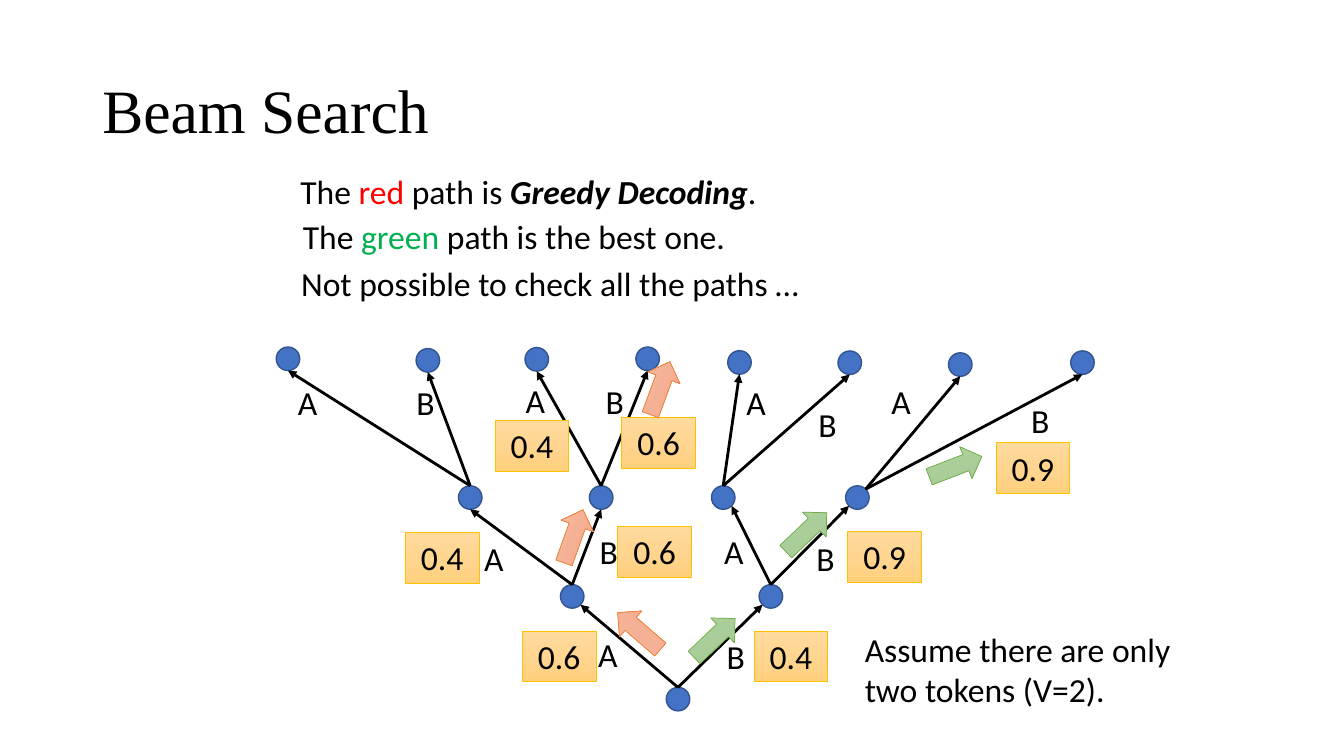
from copy import deepcopy

from lxml import etree
from pptx import Presentation
from pptx.dml.color import RGBColor
from pptx.enum.shapes import MSO_CONNECTOR, MSO_SHAPE
from pptx.enum.text import MSO_ANCHOR, MSO_AUTO_SIZE, PP_ALIGN
from pptx.oxml.ns import qn
from pptx.util import Pt

ELLIPSE = MSO_SHAPE.OVAL
RECTANGLE = MSO_SHAPE.RECTANGLE
RIGHT_ARROW = MSO_SHAPE.RIGHT_ARROW
STRAIGHT = MSO_CONNECTOR.STRAIGHT
MIDDLE = MSO_ANCHOR.MIDDLE
TOP = MSO_ANCHOR.TOP
FIT_TEXT = MSO_AUTO_SIZE.SHAPE_TO_FIT_TEXT
LEFT = PP_ALIGN.LEFT
CENTER = PP_ALIGN.CENTER

BLACK = RGBColor(0x00, 0x00, 0x00)
RED = RGBColor(0xFF, 0x00, 0x00)
GREEN = RGBColor(0x00, 0xB0, 0x50)
NODE_FILL = RGBColor(0x44, 0x72, 0xC4)
NODE_LINE = RGBColor(0x32, 0x54, 0x91)
SCORE_LINE = RGBColor(0xFF, 0xC0, 0x00)
GREEDY_LINE = RGBColor(0xED, 0x7D, 0x31)
BEST_LINE = RGBColor(0x70, 0xAD, 0x47)
SCORE_FILL = [RGBColor(0xFF, 0xDB, 0x9E), RGBColor(0xFF, 0xD5, 0x90), RGBColor(0xFF, 0xD0, 0x7C)]
GREEDY_FILL = [RGBColor(0xF7, 0xBD, 0xA5), RGBColor(0xF5, 0xB1, 0x96), RGBColor(0xF8, 0xA5, 0x82)]
BEST_FILL = [RGBColor(0xB5, 0xD5, 0xA7), RGBColor(0xAA, 0xCE, 0x9A), RGBColor(0x9C, 0xC9, 0x87)]

BODY = {"name": "Calibri", "size": Pt(24)}
HEADING = {"name": "Times New Roman", "size": Pt(44)}
EMPHASIS = {"bold": True, "italic": True}

NODE_SIZE = 16.8
CORNER = 0.146
TEXT_HEIGHT = 36.35
LABEL_WIDTH = 41.8
SCORE_WIDTH = 52.7
ARROW_SIZE = (40.3, 24.5)

NODES = {
    "": (475.9, 491),
    "A": (400.3, 417.6), "B": (542.2, 417.6),
    "AA": (327.5, 347), "AB": (421, 347), "BA": (508.2, 347), "BB": (604, 347),
    "AAA": (197.3, 247.9), "AAB": (297.2, 249), "ABA": (375, 248.3), "ABB": (454.2, 247.9),
    "BAA": (519.8, 250.5), "BAB": (598.6, 250.7), "BBA": (677.5, 252), "BBB": (764.8, 250.6),
}
LABELS = {
    "A": (413.3, 449.3), "B": (504.7, 450.7),
    "AA": (331.9, 380.9), "AB": (414, 375.8), "BA": (503.3, 375.8), "BB": (568.8, 380.9),
    "AAA": (198.7, 269.3), "AAB": (283, 269.3), "ABA": (361.4, 267.8), "ABB": (418.3, 268.6),
    "BAA": (519.1, 269.3), "BAB": (570.2, 285.1), "BBA": (622.8, 268.6), "BBB": (722.2, 282.2),
}
SCORES = [
    ("0.4", 538.6, 450.7), ("0.9", 605.5, 379.4), ("0.9", 711.4, 316.1),
    ("0.6", 373, 450.7), ("0.4", 289.4, 380.2), ("0.4", 353.5, 300.2),
    ("0.6", 441.2, 375.8), ("0.6", 444.1, 298.1),
]
GREEDY_ARROWS = [(436.3, 438.5, 220.8), (389.5, 370.8, 289.7), (451.4, 265, 290.2)]
BEST_ARROWS = [(490.3, 443.5, 316.4), (555.8, 367.9, 316.4), (662.4, 321.1, 338.9)]
CORNER_ENDS = {"A": 1 - CORNER, "B": CORNER, "BA": 1 - CORNER, "BB": CORNER}


def set_values(target, values):
    for name, value in values.items():
        setattr(target, name, value)


def write(shape, runs, font=BODY, align=LEFT, frame_format=None):
    frame = shape.text_frame
    set_values(frame, frame_format or {"word_wrap": True, "auto_size": FIT_TEXT})
    para = frame.paragraphs[0]
    para.alignment = align
    for text, color, emphasis in runs:
        span = para.add_run()
        span.text = text
        set_values(span.font, {**font, **emphasis})
        span.font.color.rgb = color
    return para


def add_text(page, place, runs, **options):
    box = page.shapes.add_textbox(*map(Pt, place))
    return write(box, runs, **options)


def add_outlined(page, kind, place, line_color, line_width):
    shape = page.shapes.add_shape(kind, *map(Pt, place))
    shape.shadow.inherit = False
    shape.line.color.rgb = line_color
    shape.line.width = Pt(line_width)
    return shape


def fill_gradient(shape, colors):
    fill = shape.fill
    fill.gradient()
    fill.gradient_angle = 270
    stops = shape._element.spPr.find(".//" + qn("a:gsLst"))
    stops.insert(1, deepcopy(stops[0]))
    for stop, position, color in zip(fill.gradient_stops, (0, 0.5, 1), colors):
        stop.position = position
        stop.color.rgb = color


def add_node(page, left, top):
    node = add_outlined(page, ELLIPSE, (left, top, NODE_SIZE, NODE_SIZE), NODE_LINE, 1)
    node.fill.solid()
    node.fill.fore_color.rgb = NODE_FILL
    return node


def node_point(tokens, across, down):
    left, top = NODES[tokens]
    return Pt(left + across * NODE_SIZE), Pt(top + down * NODE_SIZE)


def add_branch(page, tokens, circles):
    parent = tokens[:-1]
    from_corner = parent == "BB"
    start = node_point(parent, 1 - CORNER, CORNER) if from_corner else node_point(parent, 0.5, 0)
    if tokens in CORNER_ENDS:
        end = node_point(tokens, CORNER_ENDS[tokens], 1 - CORNER)
    else:
        end = node_point(tokens, 0.5, 1)
    branch = page.shapes.add_connector(STRAIGHT, *start, *end)
    if not from_corner:
        branch.begin_connect(circles[parent], 0)
    branch.line.color.rgb = BLACK
    branch.line.width = Pt(2)
    etree.SubElement(branch.line._get_or_add_ln(), qn("a:tailEnd"), type="triangle")
    etree.SubElement(branch._element.spPr, qn("a:effectLst"))


def add_score(page, text, left, top):
    place = (left, top, SCORE_WIDTH, TEXT_HEIGHT)
    score = add_outlined(page, RECTANGLE, place, SCORE_LINE, 0.5)
    fill_gradient(score, SCORE_FILL)
    score.text_frame.vertical_anchor = TOP
    write(score, [(text, BLACK, {})], align=CENTER)


def add_path_arrow(page, left, top, rotation, colors, line_color):
    arrow = add_outlined(page, RIGHT_ARROW, (left, top, *ARROW_SIZE), line_color, 0.5)
    arrow.rotation = rotation
    fill_gradient(arrow, colors)


def add_tree(page):
    circles = {tokens: add_node(page, *place) for tokens, place in NODES.items()}
    for tokens, place in LABELS.items():
        add_branch(page, tokens, circles)
        add_text(page, (*place, LABEL_WIDTH, TEXT_HEIGHT), [(tokens[-1], BLACK, {})], align=CENTER)
    for score in SCORES:
        add_score(page, *score)
    for arrow in GREEDY_ARROWS:
        add_path_arrow(page, *arrow, GREEDY_FILL, GREEDY_LINE)
    for arrow in BEST_ARROWS:
        add_path_arrow(page, *arrow, BEST_FILL, BEST_LINE)


def main():
    deck = Presentation()
    set_values(deck, {"slide_width": Pt(960), "slide_height": Pt(540)})
    page = deck.slides.add_slide(deck.slide_layouts[6])
    title = add_text(page, (66, 28.75, 828, 104.4), [("Beam Search", BLACK, {})], font=HEADING,
                     frame_format={"word_wrap": True, "vertical_anchor": MIDDLE})
    title.line_spacing = 0.9
    add_tree(page)
    add_text(page, (209.2, 150.6, 364.3, TEXT_HEIGHT), [
        ("The ", BLACK, {}), ("green", GREEN, {}), (" path is the best one.", BLACK, {})])
    add_text(page, (208, 184.3, 391, TEXT_HEIGHT), [
        ("Not possible to check all the paths …", BLACK, {})])
    add_text(page, (610.6, 445.7, 251.3, 65.4), [
        ("Assume there are only two tokens (V=2).", BLACK, {})])
    add_text(page, (207.4, 118.8, 470.9, TEXT_HEIGHT), [
        ("The ", BLACK, {}), ("red", RED, {}), (" path is ", BLACK, {}),
        ("Greedy Decoding", BLACK, EMPHASIS), (".", BLACK, {})])
    deck.save("out.pptx")


if __name__ == "__main__":
    main()
